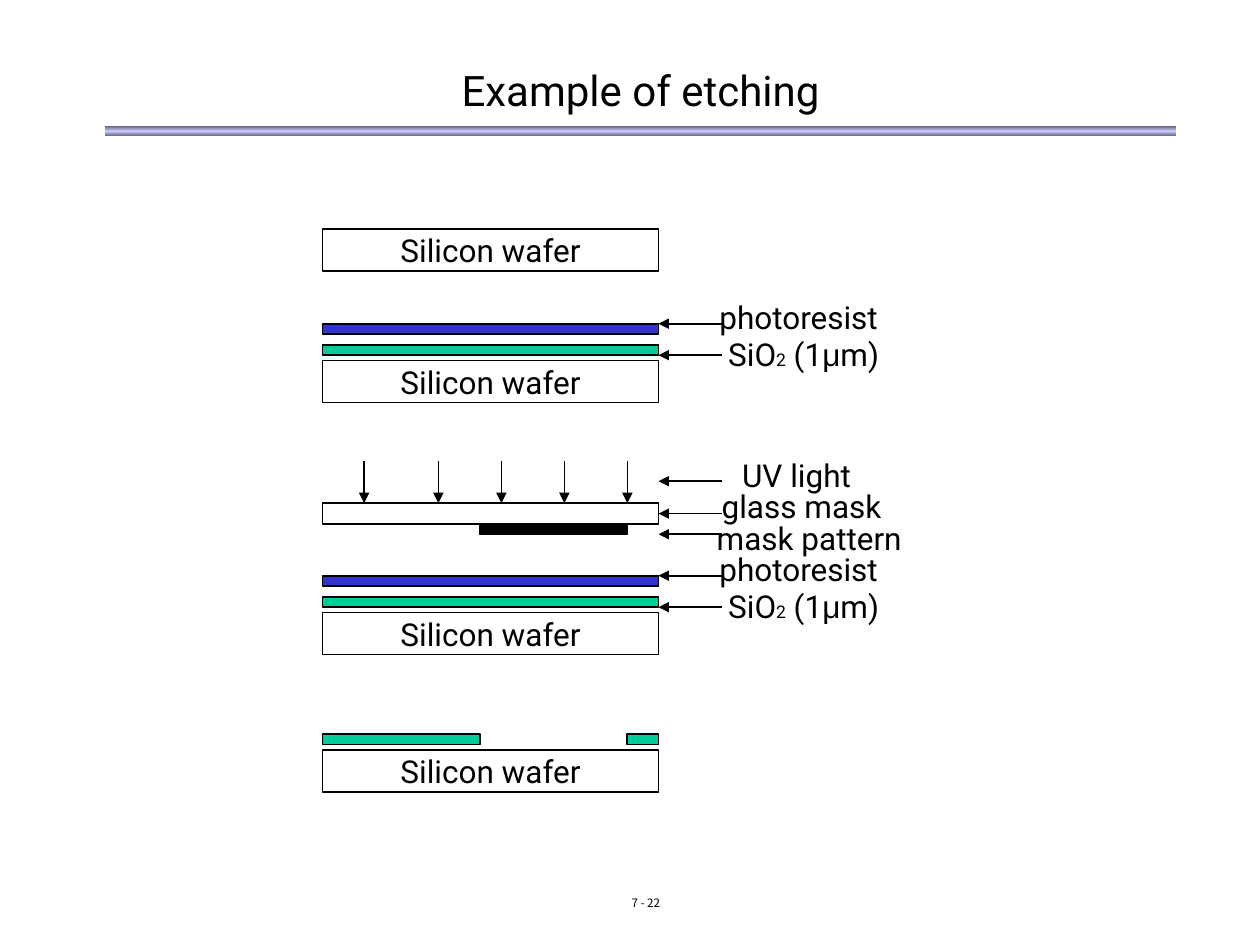
from copy import deepcopy
from dataclasses import dataclass
from typing import Optional

from pptx import Presentation
from pptx.dml.color import RGBColor
from pptx.enum.shapes import MSO_CONNECTOR, MSO_SHAPE
from pptx.enum.text import MSO_ANCHOR, MSO_AUTO_SIZE, PP_ALIGN
from pptx.oxml.ns import qn
from pptx.util import Pt
from lxml.etree import SubElement

COLORS = {
    "ink": "000000",
    "glass": "FFFFFF",
    "oxide": "00CC99",
    "resist": "3333CC",
    "rule_edge": "5E5E76",
    "rule_middle": "CCCCFF",
}
FONT = "Roboto"
WAFER_LEFT, WAFER_WIDTH, WAFER_HEIGHT = 184.3, 192, 24
WAFER_RIGHT = WAFER_LEFT + WAFER_WIDTH
LAYER_HEIGHT = 6
OXIDE_RISE, RESIST_RISE = 9, 21  # layer tops above the wafer top
POINTER_LENGTH = 36
GLASS_TOP, GLASS_HEIGHT = 287.5, 12
PATTERN_LEFT, PATTERN_WIDTH = 274.3, 84


@dataclass(frozen=True)
class Run:
    text: str
    size: Optional[float] = None
    font: Optional[str] = None


@dataclass(frozen=True)
class Label:
    left: float
    top: float
    width: float
    pointer_y: float
    runs: tuple[Run, ...]


SIO2_RUNS = (Run("SiO"), Run("2", size=10), Run(" (1"), Run("μ", font="Arial"), Run("m)"))
WAFER_TOPS = {"bare": 131, "coated": 206, "exposed": 350, "etched": 428.4}
MASK_LABELS = (
    Label(417, 257, 81, 275, (Run("UV light"),)),
    Label(402.5, 293, 127, 305.3, (Run("mask pattern"),)),
)
GLASS_LABEL = Label(405.3, 275, 107, GLASS_TOP + GLASS_HEIGHT / 2, (Run("glass mask"),))
UV_RAYS = (208.1, 250.5, 286.5, 322.5, 358.5)


def rgb(name: str) -> RGBColor:
    return RGBColor.from_string(COLORS[name])


def style_paragraph(paragraph, size: float, font: str = FONT) -> None:
    paragraph.font.size = Pt(size)
    paragraph.font.name = font
    paragraph.font.color.rgb = rgb("ink")


def add_box(slide, left: float, top: float, width: float, height: float,
            fill: Optional[str] = None):
    box = slide.shapes.add_shape(
        MSO_SHAPE.RECTANGLE, Pt(left), Pt(top), Pt(width), Pt(height))
    box.shadow.inherit = False
    if fill:
        box.fill.solid()
        box.fill.fore_color.rgb = rgb(fill)
    else:
        box.fill.background()
    box.line.color.rgb = rgb("ink")
    box.line.width = Pt(1)
    return box


def add_arrow(slide, x1: float, y1: float, x2: float, y2: float):
    arrow = slide.shapes.add_connector(
        MSO_CONNECTOR.STRAIGHT, Pt(x1), Pt(y1), Pt(x2), Pt(y2))
    arrow.line.color.rgb = rgb("ink")
    arrow.line.width = Pt(1)
    SubElement(arrow.line._get_or_add_ln(), qn("a:tailEnd"), type="triangle")
    SubElement(arrow._element.spPr, qn("a:effectLst"))
    return arrow


def add_label(slide, label: Label):
    """Add the label text and return the arrow that points from it to the stack."""
    box = slide.shapes.add_textbox(
        Pt(label.left), Pt(label.top), Pt(label.width), Pt(28.8))
    frame = box.text_frame
    frame.word_wrap = False
    frame.auto_size = MSO_AUTO_SIZE.SHAPE_TO_FIT_TEXT
    paragraph = frame.paragraphs[0]
    style_paragraph(paragraph, 18)
    for part in label.runs:
        run = paragraph.add_run()
        run.text = part.text
        if part.size:
            run.font.size = Pt(part.size)
        if part.font:
            run.font.name = part.font
    return add_arrow(slide, WAFER_RIGHT + POINTER_LENGTH, label.pointer_y,
                     WAFER_RIGHT, label.pointer_y)


def add_wafer(slide, top: float) -> None:
    wafer = add_box(slide, WAFER_LEFT, top, WAFER_WIDTH, WAFER_HEIGHT)
    frame = wafer.text_frame
    frame.word_wrap = False
    frame.margin_top = frame.margin_bottom = 0
    frame.vertical_anchor = MSO_ANCHOR.MIDDLE
    paragraph = frame.paragraphs[0]
    paragraph.text = "Silicon wafer"
    paragraph.alignment = PP_ALIGN.CENTER
    style_paragraph(paragraph, 18)


def add_coating(slide, wafer_top: float) -> None:
    """Add the oxide and photoresist layers above a wafer, with their labels."""
    for rise, fill in ((OXIDE_RISE, "oxide"), (RESIST_RISE, "resist")):
        add_box(slide, WAFER_LEFT, wafer_top - rise, WAFER_WIDTH, LAYER_HEIGHT, fill)
    add_label(slide, Label(409, wafer_top - 18, 101.5, wafer_top - 3, SIO2_RUNS))
    add_label(slide, Label(404, wafer_top - 39, 111, wafer_top - RESIST_RISE,
                           (Run("photoresist"),)))


def add_mask(slide) -> None:
    glass = add_box(slide, WAFER_LEFT, GLASS_TOP, WAFER_WIDTH, GLASS_HEIGHT, "glass")
    add_box(slide, PATTERN_LEFT, GLASS_TOP + GLASS_HEIGHT, PATTERN_WIDTH,
            LAYER_HEIGHT, "ink")
    for x in UV_RAYS:
        add_arrow(slide, x, GLASS_TOP - 24, x, GLASS_TOP)
    for label in MASK_LABELS:
        add_label(slide, label)
    add_label(slide, GLASS_LABEL).end_connect(glass, 3)


def add_etched_oxide(slide, wafer_top: float) -> None:
    pattern_right = PATTERN_LEFT + PATTERN_WIDTH
    for left, right in ((WAFER_LEFT, PATTERN_LEFT), (pattern_right, WAFER_RIGHT)):
        add_box(slide, left, wafer_top - OXIDE_RISE, right - left, LAYER_HEIGHT, "oxide")


def add_title(slide) -> None:
    title = slide.shapes.title
    title.left, title.top, title.width, title.height = Pt(60), Pt(36), Pt(612), Pt(30)
    frame = title.text_frame
    frame.margin_left = frame.margin_right = frame.margin_top = frame.margin_bottom = 0
    frame.vertical_anchor = MSO_ANCHOR.MIDDLE
    paragraph = frame.paragraphs[0]
    paragraph.text = "Example of etching"
    paragraph.alignment = PP_ALIGN.CENTER
    style_paragraph(paragraph, 24)


def add_title_rule(slide) -> None:
    rule = add_box(slide, 60, 72, 612, 6)
    rule.line.fill.background()
    rule.fill.gradient()
    rule.fill.gradient_angle = 90
    for stop in rule.fill.gradient_stops:
        stop.color.rgb = rgb("rule_edge")
    stops = rule._element.spPr.find(qn("a:gradFill")).find(qn("a:gsLst"))
    middle = deepcopy(stops[0])
    middle.set("pos", "50000")
    middle[0].set("val", COLORS["rule_middle"])
    stops.insert(1, middle)


def add_page_number(slide) -> None:
    box = slide.shapes.add_textbox(Pt(294), Pt(510), Pt(150), Pt(18))
    box.text_frame.word_wrap = True
    paragraph = box.text_frame.paragraphs[0]
    paragraph.text = "7 - 22"
    paragraph.alignment = PP_ALIGN.CENTER
    paragraph.line_spacing = 0.8
    style_paragraph(paragraph, 6.6, "Noto Sans CJK KR")


def main() -> None:
    deck = Presentation()
    deck.slide_width, deck.slide_height = Pt(720), Pt(540)
    slide = deck.slides.add_slide(deck.slide_layouts.get_by_name("Title Only"))
    add_title_rule(slide)
    add_title(slide)
    add_page_number(slide)
    for top in WAFER_TOPS.values():
        add_wafer(slide, top)
    for stage in ("coated", "exposed"):
        add_coating(slide, WAFER_TOPS[stage])
    add_mask(slide)
    add_etched_oxide(slide, WAFER_TOPS["etched"])
    deck.save("out.pptx")


if __name__ == "__main__":
    main()
